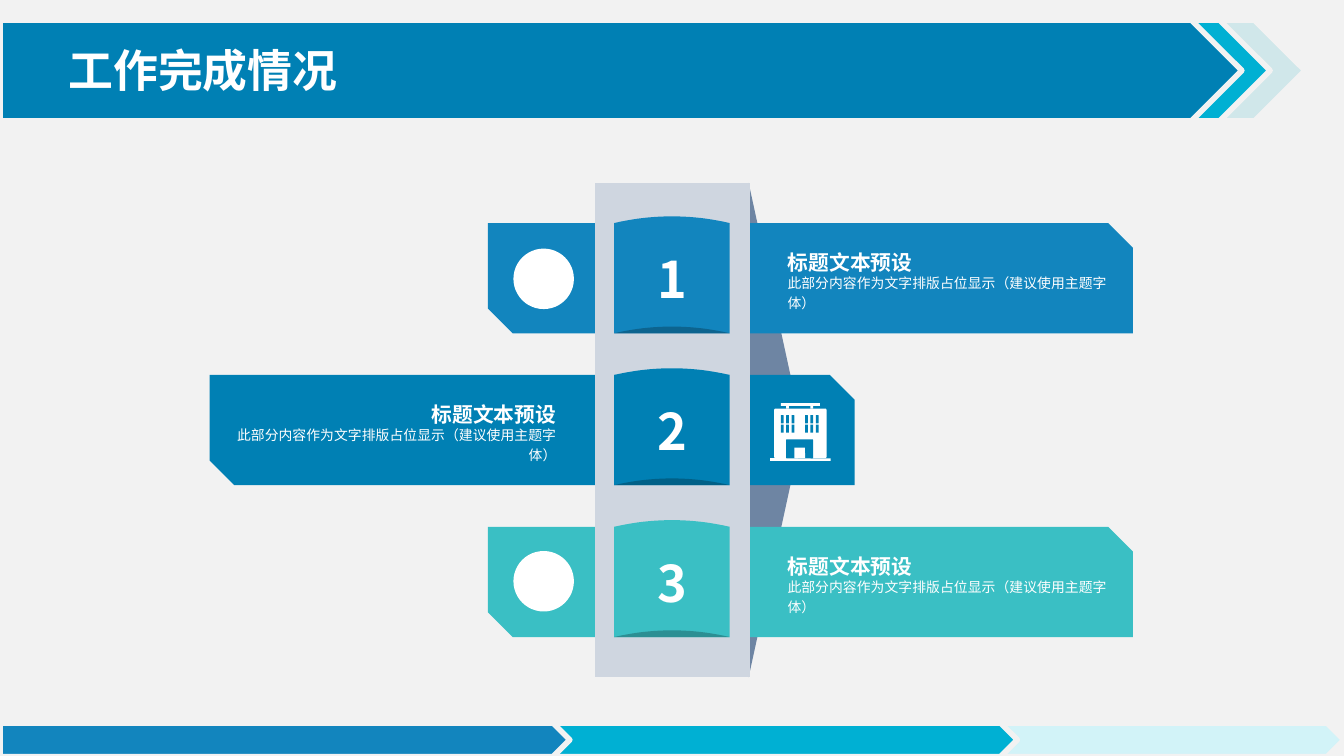
from pptx import Presentation
from pptx.dml.color import RGBColor
from pptx.enum.shapes import MSO_SHAPE as SHAPE
from pptx.enum.text import MSO_ANCHOR as ANCHOR, PP_ALIGN as ALIGN
from pptx.oxml.ns import qn
from pptx.util import Inches, Pt
from lxml import etree

FONT = "Noto Sans CJK SC"
WHITE, PAPER = "FFFFFF", "F2F2F2"
BLUE, DEEP, TEAL, CYAN = "1285BE", "0080B4", "3ABFC4", "00B0D3"


def paint(shape, color, line=None):
    shape.shadow.inherit = False
    shape.fill.solid()
    shape.fill.fore_color.rgb = RGBColor.from_string(color)
    if line:
        shape.line.color.rgb = RGBColor.from_string(line)
        shape.line.width = Pt(3)
    else:
        shape.line.fill.background()
    return shape


def write(box, text, size, bold=False, align=ALIGN.LEFT, anchor=ANCHOR.TOP,
          margins=(0.08, 0), spacing=None):
    frame = box.text_frame
    frame.word_wrap = True
    frame.vertical_anchor = anchor
    frame.margin_left = frame.margin_right = Inches(margins[0])
    frame.margin_top = frame.margin_bottom = Inches(margins[1])
    para = frame.paragraphs[0]
    para.alignment = align
    if spacing:
        para.line_spacing = spacing
    span = para.add_run()
    span.text = text
    span.font.size = Pt(size)
    span.font.bold = bold
    span.font.color.rgb = RGBColor.from_string(WHITE)
    span.font.name = FONT
    # East Asian characters take their own font entry
    etree.SubElement(span.font._element, qn("a:ea")).set("typeface", FONT)


# A 16:9 page
deck = Presentation()
deck.slide_width = Inches(10)
deck.slide_height = Inches(10) * 9 // 16
page = deck.slides.add_slide(deck.slide_layouts[6])
page.background.fill.solid()
page.background.fill.fore_color.rgb = RGBColor.from_string(PAPER)
shapes = page.shapes

# Header and footer arrow bands, longest at the back
for top, height, bands in [
    (0.15, 0.75, [(9.71, "D0E7EA"), (9.45, CYAN), (9.24, DEEP)]),
    (5.38, 0.25, [(10, "D2F3F8"), (7.57, CYAN), (4.24, BLUE)]),
]:
    for width, color in bands:
        paint(shapes.add_shape(SHAPE.PENTAGON, 0, Inches(top), Inches(width),
                               Inches(height)), color, line=PAPER)

# Title
title = shapes.add_textbox(Inches(0.44), Inches(0.28), Inches(3.34), Inches(0.48))
write(title, "工作完成情况", 24, bold=True, margins=(0.07, 0.04))

# Folded side behind the pillar
fold = paint(shapes.add_shape(SHAPE.ISOSCELES_TRIANGLE, Inches(3.93), Inches(3),
                              Inches(3.68), Inches(0.4)), "6E85A3")
fold.rotation = 90

# Panels: left edge, text left, alignment, colour, shade under the number
rows = [
    (3.63, 5.78, ALIGN.LEFT, BLUE, "0D648F"),
    (1.56, 1.49, ALIGN.RIGHT, DEEP, "006087"),
    (3.63, 5.78, ALIGN.LEFT, TEAL, "2C8F93"),
]
first_top, step, panel_height = 1.66, 1.13, 0.82
for index, (left, _, _, color, _) in enumerate(rows):
    panel = paint(shapes.add_shape(
        SHAPE.SNIP_2_DIAG_RECTANGLE, Inches(left), Inches(first_top + index * step),
        Inches(4.8), Inches(panel_height)), color)
    panel.adjustments[0], panel.adjustments[1] = 0, 0.225

# Pillar
paint(shapes.add_shape(SHAPE.FLOWCHART_PROCESS, Inches(4.43), Inches(1.36),
                       Inches(1.15), Inches(3.68)), "CFD6E0")

# Numbers with curved top and shaded foot, then the panel texts
center, half_width, rise = 5, 0.43, 0.05
for index, (_, text_left, align, color, shade) in enumerate(rows):
    top = first_top + index * step
    number = paint(shapes.add_shape(
        SHAPE.RECTANGLE, Inches(center - half_width), Inches(top),
        Inches(2 * half_width), Inches(panel_height)), color)
    write(number, str(index + 1), 27, bold=True, align=ALIGN.CENTER,
          anchor=ANCHOR.MIDDLE)

    for base, fill in [(top, color), (top + panel_height, shade)]:
        points = []
        for part in range(-10, 11):
            share = part / 10
            points.append((Inches(center + half_width * share),
                           Inches(base - rise * (1 - share ** 2))))
        curve = shapes.build_freeform(*points[0])
        curve.add_line_segments(points[1:], close=True)
        paint(curve.convert_to_shape(), fill)

    body = shapes.add_textbox(Inches(text_left), Inches(top + 0.38),
                              Inches(2.73), Inches(0.26))
    write(body, "此部分内容作为文字排版占位显示（建议使用主题字体）", 7.4,
          align=align, anchor=ANCHOR.MIDDLE, spacing=1.2)
    heading = shapes.add_textbox(Inches(text_left), Inches(top + 0.2),
                                 Inches(2.73), Inches(0.18))
    write(heading, "标题文本预设", 11.1, bold=True, align=align)

# Plain markers on the first and third panels
for top in (1.85, 4.1):
    paint(shapes.add_shape(SHAPE.OVAL, Inches(3.82), Inches(top),
                           Inches(0.45), Inches(0.45)), WHITE)

# Building icon: roof, posts, body, ground, doorway, door, windows
building = [
    (5.81, 3, 0.29, 0.02, WHITE),
    (5.85, 3.02, 0.02, 0.02, WHITE),
    (6.03, 3.02, 0.02, 0.02, WHITE),
    (5.76, 3.04, 0.39, 0.37, WHITE),
    (5.73, 3.41, 0.45, 0.02, WHITE),
    (5.85, 3.27, 0.2, 0.14, DEEP),
    (5.91, 3.33, 0.08, 0.08, WHITE),
]
for window_top in (3.09, 3.16):
    for window_left in (5.81, 5.85, 5.89, 5.99, 6.03, 6.07):
        building.append((window_left, window_top, 0.02, 0.06, DEEP))
for left, top, width, height, color in building:
    part = paint(shapes.add_shape(SHAPE.ROUNDED_RECTANGLE, Inches(left), Inches(top),
                                  Inches(width), Inches(height)), color)
    part.adjustments[0] = 0.03

deck.save("out.pptx")
